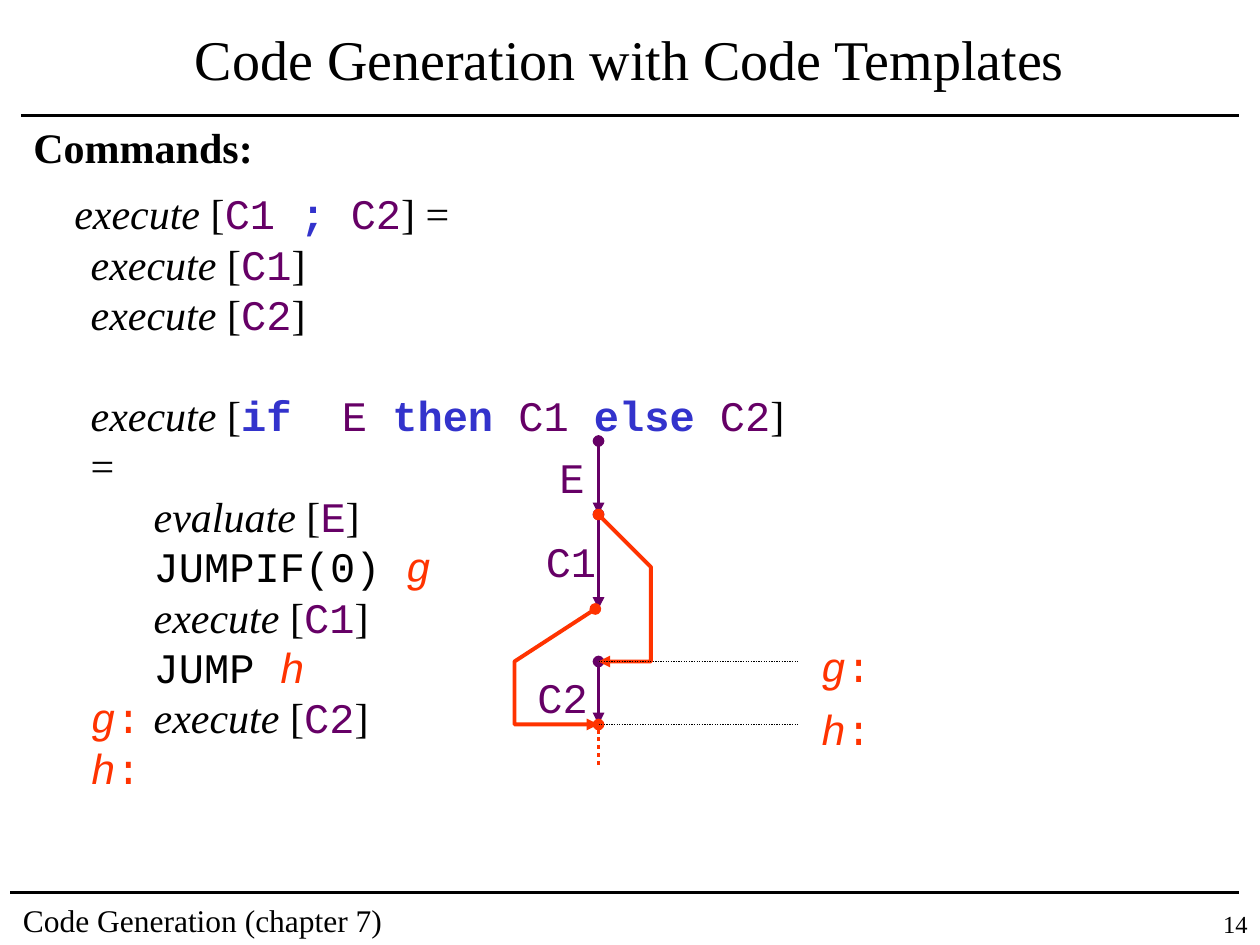
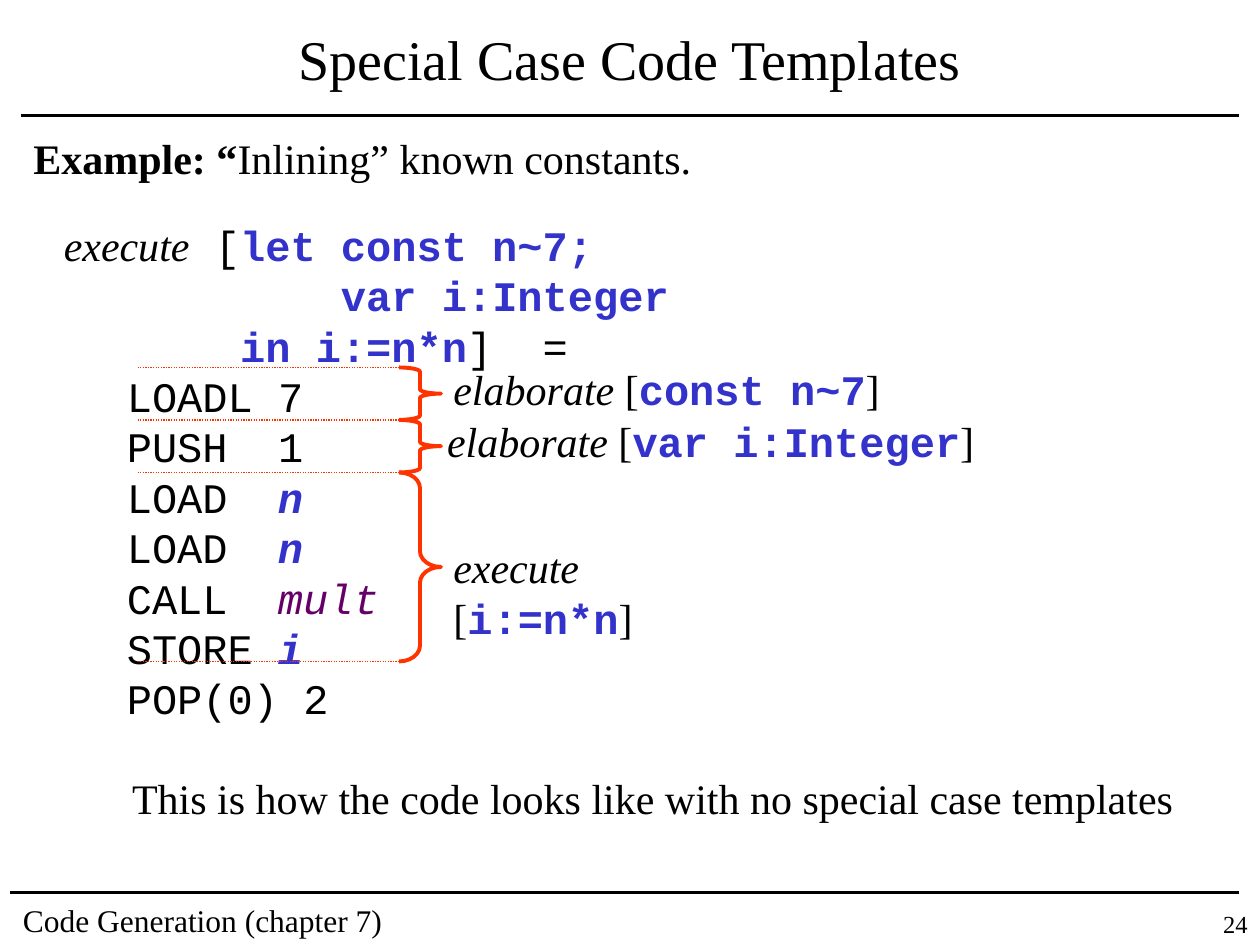
from dataclasses import dataclass
from typing import NamedTuple, Optional

import pptx
import pptx.dml.color
import pptx.enum.dml
import pptx.enum.shapes
import pptx.enum.text
import pptx.oxml.ns
import pptx.oxml.xmlchemy
import pptx.util
from lxml import etree

ALIGN = pptx.enum.text.PP_ALIGN
ANCHOR = pptx.enum.text.MSO_ANCHOR
DOTTED = pptx.enum.dml.MSO_LINE.ROUND_DOT

# The slide is a grid of 120 columns by 90 rows
COLUMNS, ROWS = 120, 90
SLIDE_WIDTH, SLIDE_HEIGHT = pptx.util.Inches(10), pptx.util.Inches(7.5)


@dataclass(frozen=True)
class Theme:
    serif: str = "Times New Roman"
    mono: str = "Courier New"
    black: str = "000000"
    purple: str = "660066"
    blue: str = "3333CC"
    red: str = "FF3300"
    title_size: float = 32
    body_size: float = 24
    footer_size: float = 18
    number_size: float = 14
    code_spacing: float = 28.8
    thick: float = 2.25
    thin: float = 0.75


THEME = Theme()


class Style(NamedTuple):
    font: str
    color: str = THEME.black
    bold: bool = False
    italic: bool = False


PLAIN = Style(THEME.serif)
STRONG = Style(THEME.serif, bold=True)
FUNCTION = Style(THEME.serif, italic=True)
CODE = Style(THEME.mono)
PHRASE = Style(THEME.mono, THEME.purple)
ROUTINE = Style(THEME.mono, THEME.purple, italic=True)
KEYWORD = Style(THEME.mono, THEME.blue, bold=True)
VARIABLE = Style(THEME.mono, THEME.blue, bold=True, italic=True)
ADDRESS = Style(THEME.mono, THEME.red, italic=True)
COLON = Style(THEME.mono, THEME.red)


class Run(NamedTuple):
    text: str
    style: Style = PLAIN


@dataclass(frozen=True)
class Line:
    """One paragraph; indent in inches, space before in points."""
    runs: list[Run]
    indent: float = 0
    before: float = 0


@dataclass(frozen=True)
class TextBlock:
    left: float
    top: float
    width: float
    height: float
    lines: list[Line]
    size: float = THEME.body_size
    align: ALIGN = ALIGN.LEFT
    anchor: ANCHOR = ANCHOR.TOP
    wrap: bool = False
    spacing: Optional[float] = None


@dataclass(frozen=True)
class Stroke:
    """A line through grid points, optionally with end marks."""
    points: list[tuple[float, float]]
    color: str = THEME.black
    width: float = THEME.thick
    dotted: bool = False
    head: str = ""
    tail: str = ""


def column(value: float) -> int:
    return round(SLIDE_WIDTH * value / COLUMNS)


def row(value: float) -> int:
    return round(SLIDE_HEIGHT * value / ROWS)


def rgb(value: str) -> pptx.dml.color.RGBColor:
    return pptx.dml.color.RGBColor.from_string(value)


def template(function: str, *phrase: Run) -> list[Run]:
    """A code function applied to a bracketed phrase."""
    return [Run(function, FUNCTION), Run(" ["), *phrase, Run("]")]


def address(name: str, after: str = "") -> list[Run]:
    return [Run(name, ADDRESS), Run(":" + after, COLON)]


# Drawing
def add_tab_stop(paragraph) -> None:
    properties = paragraph._p.get_or_add_pPr()
    stops = etree.SubElement(properties, pptx.oxml.ns.qn("a:tabLst"))
    etree.SubElement(stops, pptx.oxml.ns.qn("a:tab"),
                     pos=str(pptx.util.Inches(1)), algn="l")


def draw_text(slide, block: TextBlock) -> None:
    shape = slide.shapes.add_textbox(column(block.left), row(block.top),
                                     column(block.width), row(block.height))
    frame = shape.text_frame
    frame.word_wrap = block.wrap
    frame.vertical_anchor = block.anchor
    for index, line in enumerate(block.lines):
        paragraph = frame.add_paragraph() if index else frame.paragraphs[0]
        paragraph.alignment = block.align
        if block.spacing:
            paragraph.line_spacing = pptx.util.Pt(block.spacing)
        if line.before:
            paragraph.space_before = pptx.util.Pt(line.before)
        if line.indent:
            properties = paragraph._p.get_or_add_pPr()
            properties.set("marL", str(pptx.util.Inches(line.indent)))
            properties.set("indent", "0")
        if any("\t" in part.text for part in line.runs):
            add_tab_stop(paragraph)
        for part in line.runs:
            run = paragraph.add_run()
            run.text = part.text
            run.font.name = part.style.font
            run.font.size = pptx.util.Pt(block.size)
            run.font.bold = part.style.bold
            run.font.italic = part.style.italic
            run.font.color.rgb = rgb(part.style.color)


def draw_stroke(slide, stroke: Stroke) -> None:
    points = [(column(x), row(y)) for x, y in stroke.points]
    if len(points) == 2:
        shape = slide.shapes.add_connector(
            pptx.enum.shapes.MSO_CONNECTOR.STRAIGHT, *points[0], *points[1])
        etree.SubElement(shape._element.spPr, pptx.oxml.ns.qn("a:effectLst"))
    else:
        builder = slide.shapes.build_freeform(*points[0])
        builder.add_line_segments(points[1:], close=False)
        shape = builder.convert_to_shape()
        shape.shadow.inherit = False
        shape.fill.background()
    shape.line.color.rgb = rgb(stroke.color)
    shape.line.width = pptx.util.Pt(stroke.width)
    if stroke.dotted:
        shape.line.dash_style = DOTTED
    outline = shape.line._get_or_add_ln()
    for tag, mark in (("a:headEnd", stroke.head), ("a:tailEnd", stroke.tail)):
        if mark:
            etree.SubElement(outline, pptx.oxml.ns.qn(tag), type=mark)


def draw_brace(slide, left: float, top: float, width: float, bottom: float) -> None:
    shape = slide.shapes.add_shape(
        pptx.enum.shapes.MSO_SHAPE.RIGHT_BRACE,
        column(left), row(top), column(width), row(bottom - top))
    shape.adjustments[0] = shape.height / 12 / min(shape.width, shape.height)
    shape.shadow.inherit = False
    shape.fill.background()
    shape.line.color.rgb = rgb(THEME.red)
    shape.line.width = pptx.util.Pt(THEME.thick)


def add_framed_slide(presentation, title: str, number: int):
    """A slide with the shared title, rules, footer and number."""
    slide = presentation.slides.add_slide(presentation.slide_layouts[6])
    draw_stroke(slide, Stroke([(2, 11), (118, 11)]))
    draw_stroke(slide, Stroke([(1, 85), (118, 85)]))
    draw_text(slide, TextBlock(1, 85.2, 46, 4.8, [Line([Run("Code Generation (chapter 7)")])],
                               THEME.footer_size, wrap=True))
    draw_text(slide, TextBlock(3, 1, 114, 9, [Line([Run(title)])], THEME.title_size,
                               ALIGN.CENTER, ANCHOR.MIDDLE, wrap=True))
    draw_text(slide, TextBlock(111, 86, 9, 4, [Line([Run(str(number))])],
                               THEME.number_size, ALIGN.RIGHT, wrap=True))
    return slide


def build_command_templates(presentation) -> None:
    slide = add_framed_slide(presentation, "Code Generation with Code Templates", 14)
    first, second, test = Run("C1", PHRASE), Run("C2", PHRASE), Run("E", PHRASE)
    draw_text(slide, TextBlock(2, 11, 23.3, 6, [Line([Run("Commands:", STRONG)])]))

    # Templates for the sequence and the conditional
    sequence = template("execute", Run("C1 ", PHRASE), Run("; ", KEYWORD), second)
    conditional = template("execute", Run("if  ", KEYWORD), Run("E ", PHRASE),
                           Run("then ", KEYWORD), Run("C1 ", PHRASE),
                           Run("else ", KEYWORD), second)
    tab = Run("\t")
    indented = [
        template("execute", first),
        template("execute", second),
        conditional + [Run(" =")],
        [tab, *template("evaluate", test)],
        [Run("\tJUMPIF(0) ", CODE), Run("g", ADDRESS)],
        [tab, *template("execute", first)],
        [tab, Run("JUMP ", CODE), Run("h", ADDRESS)],
        address("g", "\t") + template("execute", second),
        address("h"),
    ]
    lines = [Line(sequence + [Run(" =")])]
    lines += [Line(runs, 0.13, THEME.code_spacing if runs[:-1] == conditional else 0)
              for runs in indented]
    draw_text(slide, TextBlock(5.9, 17.3, 71.6, 54, lines, wrap=True,
                               spacing=THEME.code_spacing))

    # Control flow of the conditional
    axis, test_top, test_end, then_end, else_top, end = 57, 42, 49, 58, 63, 69
    for top, bottom in ((test_top, test_end), (test_end, then_end), (else_top, end)):
        draw_stroke(slide, Stroke([(axis, top), (axis, bottom)], THEME.purple,
                                  head="oval", tail="triangle"))
    jumps = (
        [(axis, test_end), (62, 54), (62, else_top), (axis, else_top)],
        [(56.7, then_end), (49, else_top), (49, end), (axis, end)],
    )
    for points in jumps:
        draw_stroke(slide, Stroke(points, THEME.red, head="oval", tail="triangle"))
    draw_stroke(slide, Stroke([(axis, end), (axis, 73)], THEME.red, dotted=True, head="oval"))
    for left, top, width, part in ((52.1, 42.4, 4.8, test), (50.8, 50.4, 7.2, first),
                                   (50, 63.4, 7.2, second)):
        draw_text(slide, TextBlock(left, top, width, 6, [Line([part])]))
    for name, level in (("g", else_top), ("h", end)):
        draw_stroke(slide, Stroke([(axis, level), (76, level)], width=THEME.thin, dotted=True))
        draw_text(slide, TextBlock(77, level - 2.6, 7.2, 6, [Line(address(name))]))


def build_special_case(presentation) -> None:
    slide = add_framed_slide(presentation, "Special Case Code Templates", 24)
    draw_text(slide, TextBlock(2, 12, 66, 6, [
        Line([Run("Example: “", STRONG), Run("Inlining” known constants.")])]))

    # Source phrase and the instructions generated for it
    instructions = [
        [Run("LOADL 7", CODE)],
        [Run("PUSH  1", CODE)],
        [Run("LOAD  ", CODE), Run("n", VARIABLE)],
        [Run("LOAD  ", CODE), Run("n", VARIABLE)],
        [Run("CALL  ", CODE), Run("mult", ROUTINE)],
        [Run("STORE ", CODE), Run("i", VARIABLE)],
        [Run("POP(0) 2", CODE)],
    ]
    lines = [
        Line([Run("execute", FUNCTION), Run(" [", CODE), Run("let const n~7;", KEYWORD)]),
        Line([Run("var i:Integer", KEYWORD)], 2.2),
        Line([Run("in i:=n*n", KEYWORD), Run("]  =", CODE)], 1.4),
    ]
    lines += [Line(runs, 0.5) for runs in instructions]
    draw_text(slide, TextBlock(4.9, 20.3, 62.4, 49.2, lines, spacing=THEME.code_spacing))

    # Braces naming the phrase behind each group of instructions
    limits = (35, 40, 45, 63)
    for level in limits:
        draw_stroke(slide, Stroke([(13.1, level), (38, level)], THEME.red, THEME.thin, dotted=True))
    labels = (("elaborate", "const n~7", 42, 34, 43), ("elaborate", "var i:Integer", 41.4, 39, 52.6),
              ("execute", "i:=n*n", 42, 51, 32.4))
    for top, bottom, (function, phrase, left, label_top, width) in zip(limits, limits[1:], labels):
        draw_brace(slide, 38, top, 4, bottom)
        draw_text(slide, TextBlock(left, label_top, width, 6,
                                   [Line(template(function, Run(phrase, KEYWORD)))]))
    draw_text(slide, TextBlock(11.4, 73, 101.6, 6, [
        Line([Run("This is how the code looks like with no special case templates")])]))


def main() -> None:
    presentation = pptx.Presentation()
    presentation.slide_width, presentation.slide_height = SLIDE_WIDTH, SLIDE_HEIGHT
    build_command_templates(presentation)
    build_special_case(presentation)
    presentation.save("out.pptx")


if __name__ == "__main__":
    main()
